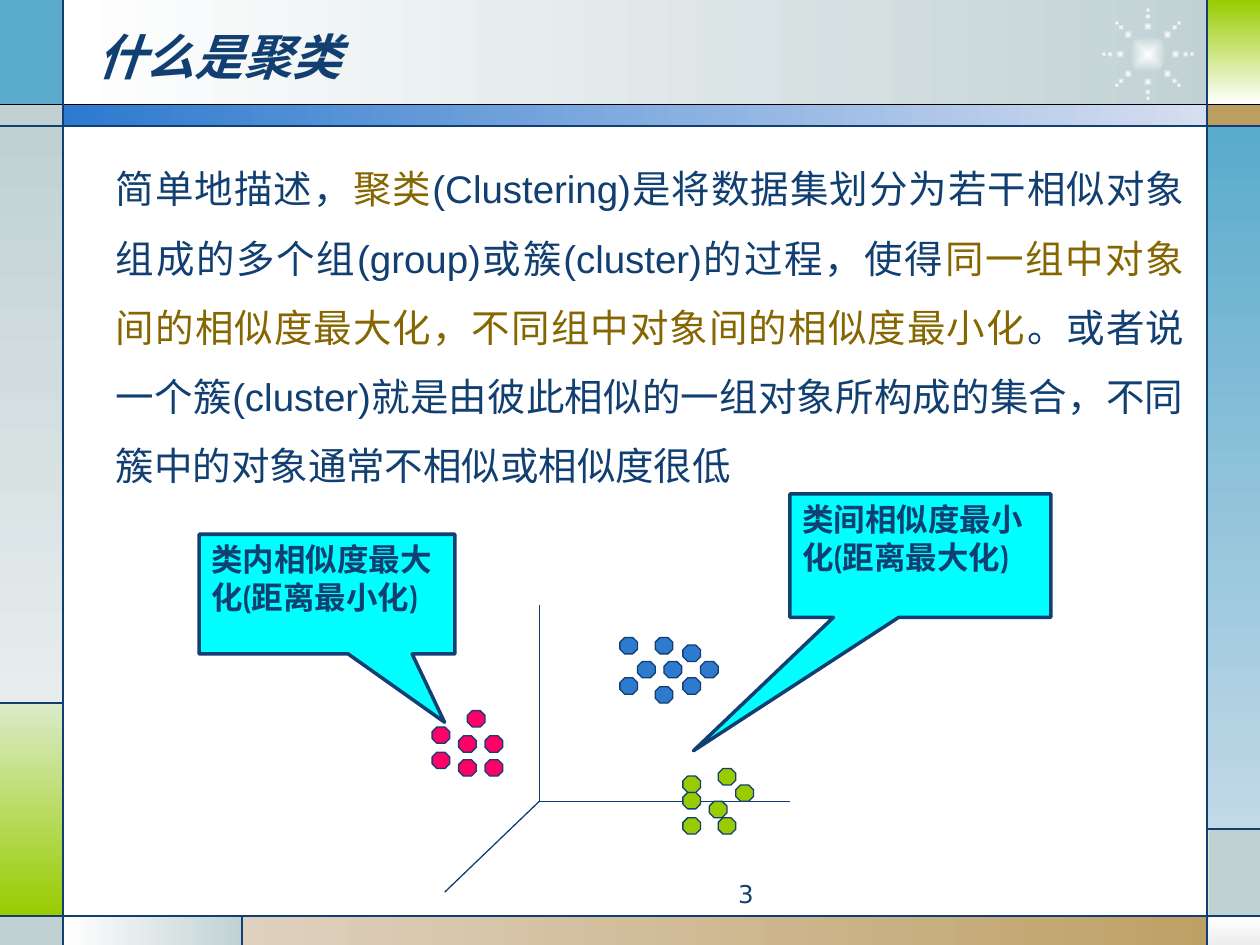
from dataclasses import dataclass
from math import cos, radians, sin

from lxml import etree
from pptx import Presentation
from pptx import util as u
from pptx.dml.color import RGBColor
from pptx.enum import shapes, text
from pptx.oxml.ns import qn


@dataclass(frozen=True)
class Theme:
    navy: str = "113F71"
    black: str = "000000"
    white: str = "FFFFFF"
    grey: str = "C1D1D3"
    pale_grey: str = "E7EDEE"
    silver: str = "EDEDED"
    sky: str = "5AABCC"
    pale_sky: str = "C2D9E7"
    blue: str = "2D7ACF"
    pale_blue: str = "D7DEF0"
    green: str = "99CC00"
    pale_green: str = "DBEBC9"
    tan: str = "BD9E61"
    pale_tan: str = "DED1BF"
    olive: str = "866600"
    pink: str = "FF0066"
    cyan: str = "00FFFF"
    title_size: int = 28
    body_size: int = 22
    callout_size: int = 18
    number_size: int = 14
    thin: float = 0.75
    thick: float = 2


theme = Theme()
kinds = shapes.MSO_SHAPE


def add_filled(parent, kind, at, colours, angle=0, line_width=None):
    """Add a preset shape; two colours make a gradient, angle None a radial one."""
    shape = parent.shapes.add_shape(kind, *map(u.Inches, at))
    shape.shadow.inherit = False
    if len(colours) == 1:
        shape.fill.solid()
        shape.fill.fore_color.rgb = RGBColor.from_string(colours[0])
    else:
        shape.fill.gradient()
        for stop, colour in zip(shape.fill.gradient_stops, colours):
            stop.color.rgb = RGBColor.from_string(colour)
        if angle is None:
            linear = shape._element.spPr.find(".//" + qn("a:lin"))
            radial = etree.Element(qn("a:path"), path="shape")
            sides = dict.fromkeys("ltrb", "50000")
            etree.SubElement(radial, qn("a:fillToRect"), sides)
            linear.getparent().replace(linear, radial)
        else:
            shape.fill.gradient_angle = (360 - angle) % 360
    if line_width:
        shape.line.color.rgb = RGBColor.from_string(theme.navy)
        shape.line.width = u.Pt(line_width)
    else:
        shape.line.fill.background()
    return shape


def add_line(parent, start, end, colour=theme.navy):
    line = parent.shapes.add_connector(
        shapes.MSO_CONNECTOR.STRAIGHT, *map(u.Inches, (*start, *end)))
    line.line.color.rgb = RGBColor.from_string(colour)
    line.line.width = u.Pt(theme.thin)
    etree.SubElement(line._element.spPr, qn("a:effectLst"))


deck = Presentation()
deck.slide_width, deck.slide_height = u.Inches(10), u.Inches(7.5)
page = deck.slides.add_slide(deck.slide_layouts[1])

# Coloured frame
frame = [
    ((0.5, 0, 9.27, 0.84), (theme.white, theme.grey), 0),
    ((0, 0, 0.5, 0.84), (theme.sky,), 0),
    ((0, 0.83, 0.5, 0.17), (theme.grey,), 0),
    ((0, 1, 0.5, 4.58), (theme.grey, theme.pale_grey), 90),
    ((0, 5.58, 0.5, 1.69), (theme.pale_green, theme.green), 90),
    ((0, 7.27, 0.5, 0.23), (theme.grey,), 0),
    ((0.5, 7.27, 1.43, 0.23), (theme.white, theme.grey), 0),
    ((1.92, 7.27, 8.08, 0.23), (theme.pale_tan, theme.tan), 0),
    ((9.59, 7.27, 0.41, 0.23), (theme.white, theme.silver), 90),
    ((9.59, 6.58, 0.41, 0.7), (theme.grey,), 0),
    ((9.58, 1, 0.42, 5.58), (theme.sky, theme.pale_sky), 90),
    ((9.58, 0.83, 0.42, 0.17), (theme.tan,), 0),
    ((9.59, 0, 0.41, 0.83), (theme.green, theme.white), 90),
    ((0.5, 0.83, 9.09, 0.17), (theme.blue, theme.pale_blue), 0),
]
for at, colours, angle in frame:
    add_filled(page, kinds.RECTANGLE, at, colours, angle)

# Sunburst: a disc and eight rays of three shrinking dots
sun = page.shapes.add_group_shape()
sun_x, sun_y = 9.11, 0.43
discs = [(sun_x, sun_y, 0.3)]
for ray in range(0, 360, 45):
    for radius, size in ((0.22, 0.07), (0.3, 0.05), (0.35, 0.04)):
        discs.append((sun_x + radius * cos(radians(ray)),
                      sun_y + radius * sin(radians(ray)), size))
for x, y, size in discs:
    add_filled(sun, kinds.OVAL, (x - size / 2, y - size / 2, size, size),
               (theme.white, theme.grey), None)

add_line(page, (0, 0.83), (10, 0.83), theme.black)
for start, end in [
    ((0, 1), (10, 1)), ((0, 7.27), (10, 7.27)),
    ((0.5, 0), (0.5, 7.5)), ((9.58, 0), (9.58, 7.5)),
    ((0.5, 5.58), (0, 5.58)), ((1.92, 7.27), (1.92, 7.5)),
    ((9.58, 6.58), (10, 6.58)),
]:
    add_line(page, start, end)

# Title and definition, raised above the frame
title, body = page.shapes.title, page.placeholders[1]
for box, at in ((title, (0.67, 0.13, 7.33, 0.62)), (body, (0.5, 1.08, 9, 2.83))):
    box.left, box.top, box.width, box.height = map(u.Inches, at)
    box.text_frame.auto_size = text.MSO_AUTO_SIZE.NONE
    box.text_frame.word_wrap = True
    page.shapes._spTree.append(box._element)

title.text_frame.vertical_anchor = text.MSO_ANCHOR.MIDDLE
para = title.text_frame.paragraphs[0]
para.alignment = text.PP_ALIGN.LEFT
span = para.add_run()
span.text = "什么是聚类"
span.font.name, span.font.size = "DejaVu Sans", u.Pt(theme.title_size)
span.font.bold = span.font.italic = True
span.font.color.rgb = RGBColor.from_string(theme.navy)

para = body.text_frame.paragraphs[0]
properties = para._p.get_or_add_pPr()
properties.set("marL", str(u.Inches(0.32)))
properties.set("indent", "0")
etree.SubElement(properties, qn("a:buNone"))
para.alignment = text.PP_ALIGN.JUSTIFY
para.line_spacing = 1.5
para.space_before, para.space_after = u.Pt(0), u.Pt(4)
for words, colour in [
    ("简单地描述，", theme.navy),
    ("聚类", theme.olive),
    ("(Clustering)是将数据集划分为若干相似对象组成的多个组(group)或簇(cluster)的过程，使得", theme.navy),
    ("同一组中对象间的相似度最大化，不同组中对象间的相似度最小化", theme.olive),
    ("。或者说一个簇(cluster)就是由彼此相似的一组对象所构成的集合，不同簇中的对象通常不相似或相似度很低", theme.navy),
]:
    span = para.add_run()
    span.text = words
    span.font.name, span.font.size = "Arial", u.Pt(theme.body_size)
    span.font.color.rgb = RGBColor.from_string(colour)

# Cluster diagram: axes, points, callouts
diagram = page.shapes.add_group_shape()
axis_origin = (4.28, 6.36)
for axis_end in ((4.28, 4.8), (6.27, 6.36), (3.53, 7.08)):
    add_line(diagram, axis_origin, axis_end)

clusters = {
    theme.blue: [(5.06, 5.25), (5.27, 5.25), (5.2, 5.06), (5.2, 5.45), (5.56, 5.25),
                 (5.42, 5.12), (4.92, 5.06), (5.42, 5.38), (4.92, 5.38)],
    theme.pink: [(3.43, 5.77), (3.64, 5.84), (3.64, 6.03), (3.85, 5.84),
                 (3.71, 5.64), (3.85, 6.03), (3.43, 5.97)],
    theme.green: [(5.42, 6.16), (5.84, 6.23), (5.63, 6.36), (5.42, 6.49),
                  (5.7, 6.49), (5.42, 6.29), (5.7, 6.1)],
}
for colour, points in clusters.items():
    for left, top in points:
        add_filled(diagram, kinds.OCTAGON, (left, top, 0.14, 0.13), (colour,),
                   line_width=theme.thin)

for words, at, tip in [
    ("类间相似度最小化(距离最大化)", (6.27, 3.92, 2.07, 0.98), (-0.87, 1.58)),
    ("类内相似度最大化(距离最小化)", (1.58, 4.24, 2.03, 0.95), (0.46, 1.07)),
]:
    callout = add_filled(diagram, kinds.RECTANGULAR_CALLOUT, at, (theme.cyan,),
                         line_width=theme.thick)
    callout.adjustments[0], callout.adjustments[1] = tip
    callout.text_frame.word_wrap = True
    callout.text_frame.vertical_anchor = text.MSO_ANCHOR.TOP
    para = callout.text_frame.paragraphs[0]
    para.alignment = text.PP_ALIGN.LEFT
    span = para.add_run()
    span.text = words
    span.font.name, span.font.size = "Cabin", u.Pt(theme.callout_size)
    span.font.bold = True
    span.font.color.rgb = RGBColor.from_string(theme.navy)

# Page number
number = page.shapes.add_textbox(*map(u.Inches, (3.75, 6.93, 2.33, 0.27)))
number.text_frame.word_wrap = True
para = number.text_frame.paragraphs[0]
para.alignment = text.PP_ALIGN.RIGHT
span = para.add_run()
span.text = "3"
span.font.name, span.font.size = "DejaVu Sans", u.Pt(theme.number_size)
span.font.color.rgb = RGBColor.from_string(theme.navy)

deck.save("out.pptx")
